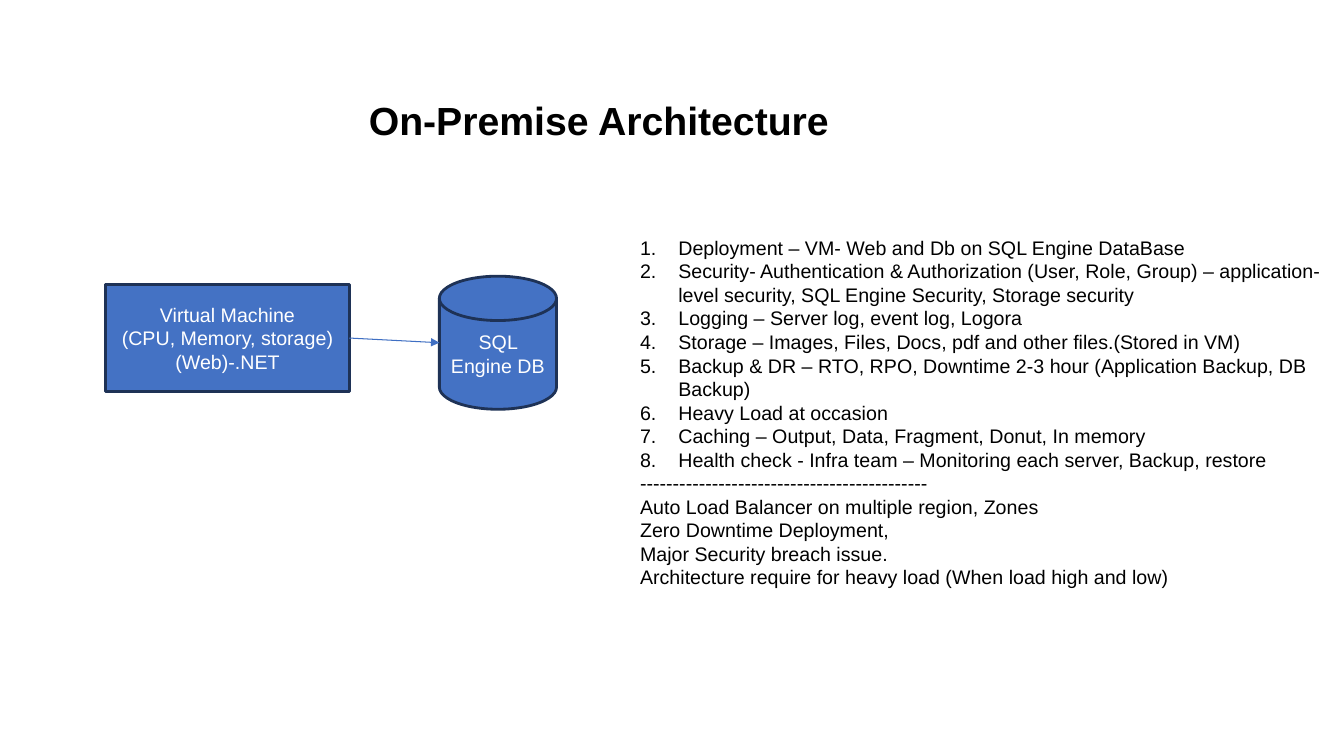
import pptx
import pptx.dml.color
import pptx.enum.shapes
import pptx.enum.text
import pptx.oxml
import pptx.oxml.ns
import pptx.util

WIDTH, HEIGHT = 13.33, 7.5
FONT, BLACK, WHITE = "Arial", "000000", "FFFFFF"
BODY_SIZE = 14
NUMBER_INDENT = 0.38

TITLE = "On-Premise Architecture"
MACHINE_LINES = ["Virtual Machine", "(CPU, Memory, storage)", "(Web)-.NET"]
DATABASE_LINES = ["SQL Engine DB"]
CONCERNS = [
    "Deployment – VM- Web and Db on SQL Engine DataBase",
    "Security- Authentication & Authorization (User, Role, Group) – application-level security, "
    "SQL Engine Security, Storage security",
    "Logging – Server log, event log, Logora",
    "Storage – Images, Files, Docs, pdf and other files.(Stored in VM)",
    "Backup & DR – RTO, RPO, Downtime 2-3 hour (Application Backup, DB Backup)",
    "Heavy Load at occasion",
    "Caching – Output, Data, Fragment, Donut, In memory",
    "Health check - Infra team – Monitoring each server, Backup, restore",
]
NEEDS = [
    "-" * 44,
    "Auto Load Balancer on multiple region, Zones",
    "Zero Downtime Deployment,",
    "Major Security breach issue.",
    "Architecture require for heavy load (When load high and low)",
]


def color(hex_string):
    """Return the colour for a hex string."""
    return pptx.dml.color.RGBColor.from_string(hex_string)


def inches(*lengths):
    """Return the lengths in EMU."""
    return [pptx.util.Inches(length) for length in lengths]


def part(box, left, top, width, height):
    """Return the part of a box that the given shares describe."""
    return (box[0] + left * box[2], box[1] + top * box[3], width * box[2], height * box[3])


def add_element(parent, tag, **attributes):
    """Append a drawing element with attributes to a parent element."""
    element = pptx.oxml.parse_xml(f"<a:{tag} {pptx.oxml.ns.nsdecls('a')}/>")
    for name, value in attributes.items():
        element.set(name, str(value))
    parent.append(element)


def write_lines(frame, lines, size, hex_string, bold=False, align=None, numbered=0):
    """Write one paragraph per line, numbering the first ones."""
    frame.word_wrap = True
    for index, line in enumerate(lines):
        paragraph = frame.paragraphs[0] if index == 0 else frame.add_paragraph()
        paragraph.text = line
        if index < numbered:
            properties = paragraph._p.get_or_add_pPr()
            indent = pptx.util.Inches(NUMBER_INDENT)
            properties.set("marL", str(indent))
            properties.set("indent", str(-indent))
            add_element(properties, "buFont", typeface="+mj-lt")
            add_element(properties, "buAutoNum", type="arabicPeriod")
        paragraph.alignment = align
        paragraph.font.name = FONT
        paragraph.font.size = pptx.util.Pt(size)
        paragraph.font.bold = bold
        paragraph.font.color.rgb = color(hex_string)


def add_text(slide, box, lines, size, bold=False, numbered=0):
    """Place a black text box that fits its text."""
    frame = slide.shapes.add_textbox(*inches(*box)).text_frame
    write_lines(frame, lines, size, BLACK, bold, numbered=numbered)
    frame.auto_size = pptx.enum.text.MSO_AUTO_SIZE.SHAPE_TO_FIT_TEXT


def add_node(slide, kind, box, lines):
    """Place a blue labelled shape."""
    shape = slide.shapes.add_shape(kind, *inches(*box))
    shape.shadow.inherit = False
    shape.fill.solid()
    shape.fill.fore_color.rgb = color("4472C4")
    shape.line.color.rgb = color("1E3256")
    shape.line.width = pptx.util.Pt(2)
    shape.text_frame.vertical_anchor = pptx.enum.text.MSO_ANCHOR.MIDDLE
    write_lines(shape.text_frame, lines, BODY_SIZE, WHITE, align=pptx.enum.text.PP_ALIGN.CENTER)
    return shape


def add_diagram(slide, box):
    """Place the machine, its database and the arrow between them."""
    kinds = pptx.enum.shapes.MSO_SHAPE
    machine = add_node(slide, kinds.RECTANGLE, part(box, 0, 0.06, 0.54, 0.81), MACHINE_LINES)
    database = add_node(slide, kinds.FLOWCHART_MAGNETIC_DISK, part(box, 0.74, 0, 0.26, 1), DATABASE_LINES)
    arrow = slide.shapes.add_connector(
        pptx.enum.shapes.MSO_CONNECTOR.STRAIGHT,
        machine.left + machine.width, machine.top + machine.height // 2,
        database.left, database.top + database.height // 2)
    arrow.begin_connect(machine, 3)
    arrow.line.color.rgb = color("3F6FC3")
    arrow.line.width = pptx.util.Pt(0.75)
    add_element(arrow.line._get_or_add_ln(), "tailEnd", type="triangle")
    add_element(arrow._element.spPr, "effectLst")


def main():
    """Build and save the slide."""
    presentation = pptx.Presentation()
    presentation.slide_width, presentation.slide_height = inches(WIDTH, HEIGHT)
    slide = presentation.slides.add_slide(presentation.slide_layouts[6])
    add_diagram(slide, (1.05, 2.74, 4.47, 1.32))
    add_text(slide, (6.25, 2.29, 6.98, 3.64), CONCERNS + NEEDS, BODY_SIZE, numbered=len(CONCERNS))
    add_text(slide, (3.56, 0.91, 5.08, 0.57), [TITLE], 28, bold=True)
    presentation.save("out.pptx")


if __name__ == "__main__":
    main()
